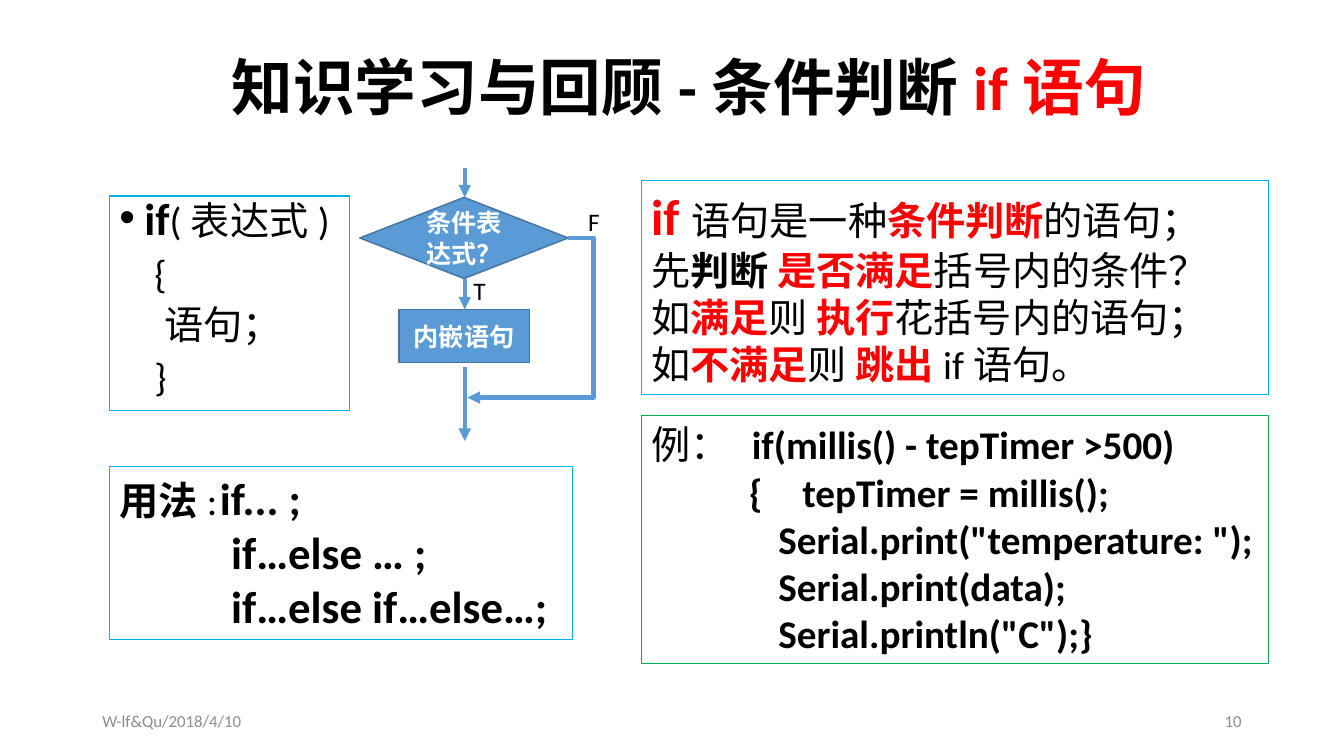
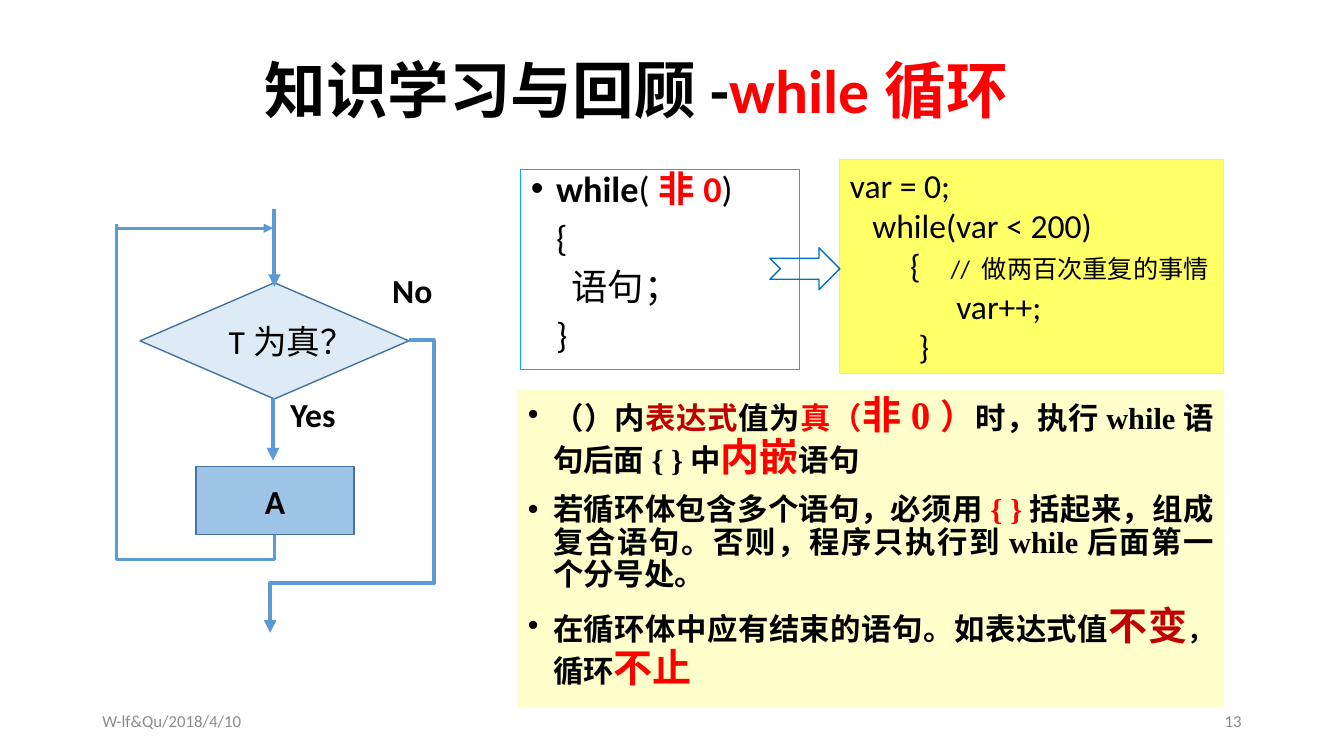
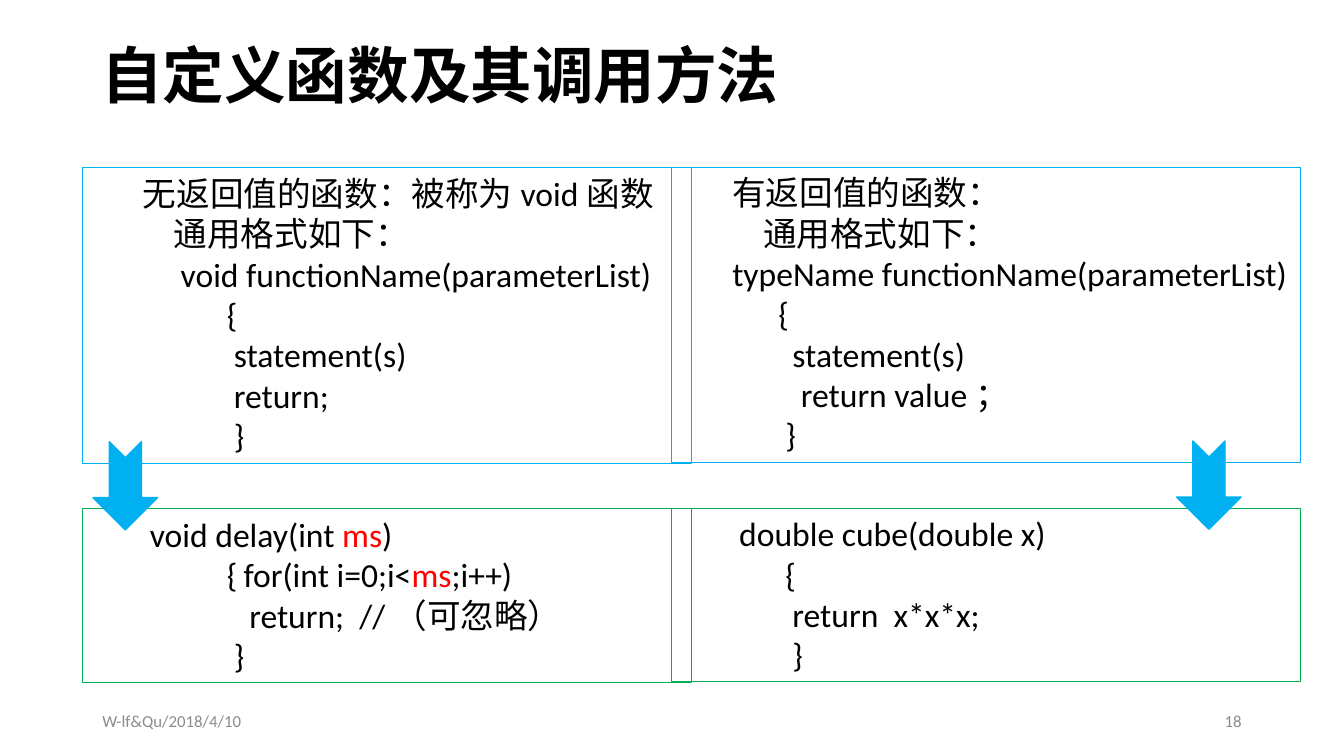
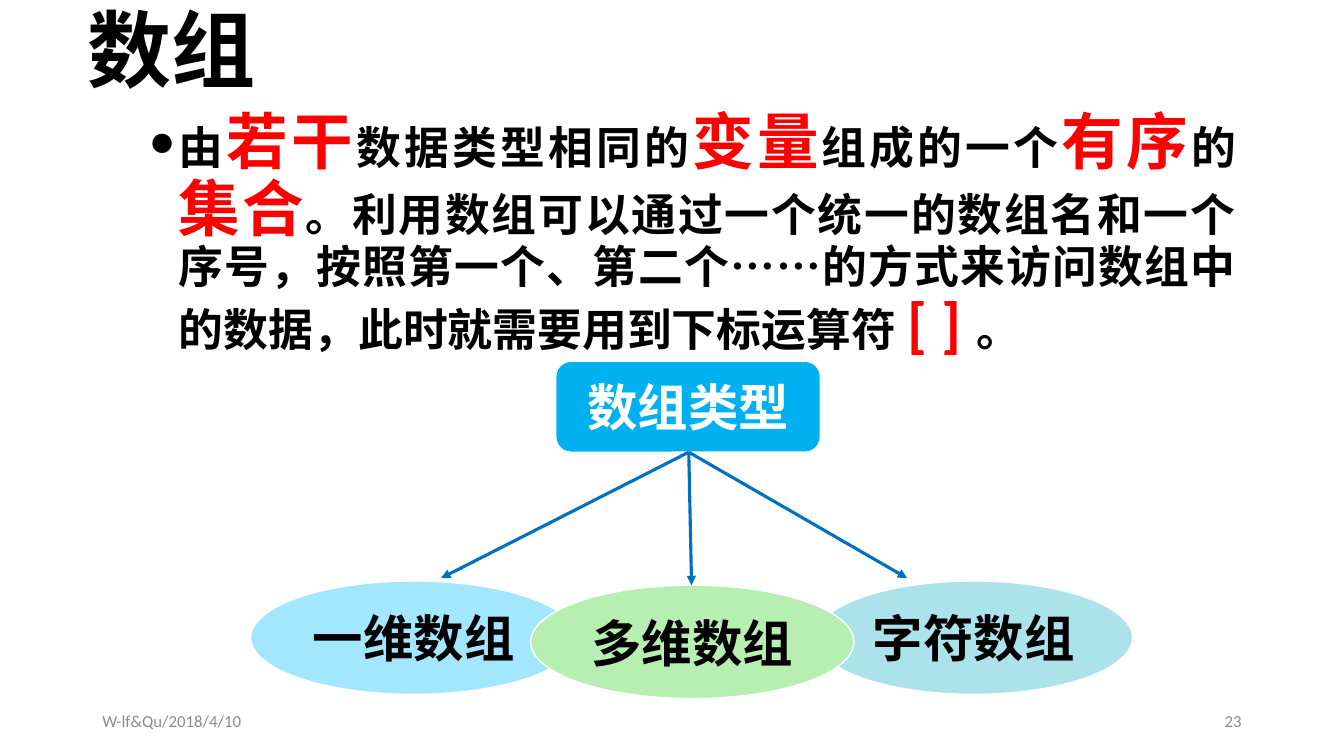
from dataclasses import dataclass
from typing import Optional

from lxml import etree
from pptx import Presentation
from pptx.dml.color import RGBColor
from pptx.enum.shapes import MSO_CONNECTOR as LINK, MSO_SHAPE as SHAPE
from pptx.enum.text import MSO_ANCHOR as ANCHOR, MSO_AUTO_SIZE as AUTO, PP_ALIGN as ALIGN
from pptx.oxml.ns import qn
from pptx.util import Pt

BLACK = RGBColor(0x00, 0x00, 0x00)
WHITE = RGBColor(0xFF, 0xFF, 0xFF)
RED = RGBColor(0xFF, 0x00, 0x00)
DARK_RED = RGBColor(0xC0, 0x00, 0x00)
GREY = RGBColor(0x8C, 0x8C, 0x8C)
SKY = RGBColor(0x00, 0xB0, 0xF0)
GREEN = RGBColor(0x00, 0xB0, 0x50)
BLUE = RGBColor(0x00, 0x70, 0xC0)
FLOW = RGBColor(0x5B, 0x9B, 0xD5)
FLOW_EDGE = RGBColor(0x43, 0x73, 0x9E)
FLOW_MID = RGBColor(0x9D, 0xC3, 0xE6)
FLOW_PALE = RGBColor(0xDE, 0xEB, 0xF7)
YELLOW = RGBColor(0xFF, 0xFF, 0x00)
LEMON = RGBColor(0xFF, 0xFF, 0x66)
CREAM = RGBColor(0xFF, 0xFF, 0xCC)
ICE = RGBColor(0xA3, 0xE7, 0xFF)
TEAL = RGBColor(0xAC, 0xE3, 0xEA)
MINT = RGBColor(0xB7, 0xEF, 0xB3)

FONT = "Calibri"
SERIF = "Times New Roman"
FOOTER = "W-lf&Qu/2018/4/10"
WITH_BODY, TITLE_ONLY = 1, 5


# ---- text ----

@dataclass
class Para:
    runs: tuple
    indent: float = 0
    tab: Optional[float] = None
    bullet: Optional[str] = None
    hang: float = 18


def para(*runs, **layout):
    return Para(runs, **layout)


def bold(text, **style):
    return text, {"bold": True, **style}


def red(text, **style):
    return bold(text, color=RED, **style)


def set_indent(paragraph, content):
    """Sets first-line indent or hanging bullet, and the tab stop."""
    props = paragraph._p.get_or_add_pPr()
    if content.bullet:
        props.set("marL", str(Pt(content.hang)))
        props.set("indent", str(-Pt(content.hang)))
        etree.SubElement(props, qn("a:buFont")).set("typeface", "Arial")
        etree.SubElement(props, qn("a:buChar")).set("char", content.bullet)
    else:
        props.set("marL", "0")
        props.set("indent", str(Pt(content.indent)))
        etree.SubElement(props, qn("a:buNone"))
    if content.tab:
        stop = etree.SubElement(etree.SubElement(props, qn("a:tabLst")), qn("a:tab"))
        stop.set("pos", str(Pt(content.tab)))
        stop.set("algn", "l")


def write(frame, paras, size, bold=False, color=BLACK, font=FONT, align=ALIGN.LEFT,
          anchor=ANCHOR.TOP, spacing=1.0, before=0, wrap=True):
    frame.auto_size = AUTO.NONE
    frame.word_wrap = wrap
    frame.vertical_anchor = anchor
    for number, content in enumerate(paras):
        paragraph = frame.add_paragraph() if number else frame.paragraphs[0]
        paragraph.alignment = align
        paragraph.line_spacing = spacing
        paragraph.space_before = Pt(before)
        set_indent(paragraph, content)
        for item in content.runs:
            text, style = (item, {}) if isinstance(item, str) else item
            run = paragraph.add_run()
            run.text = text
            run.font.name = font
            run.font.size = Pt(style.get("size", size))
            run.font.bold = style.get("bold", bold)
            run.font.color.rgb = style.get("color", color)


# ---- shapes ----

def points(box):
    return [Pt(length) for length in box]


def shift(origin, x, y, *size):
    return (origin[0] + x, origin[1] + y, *size)


def paint(shape, fill=None, line=None, width=0.75):
    if fill is None:
        shape.fill.background()
    else:
        shape.fill.solid()
        shape.fill.fore_color.rgb = fill
    if line is not None:
        shape.line.color.rgb = line
        shape.line.width = Pt(width)


def add_panel(slide, box, paras, size, fill=None, line=SKY, **style):
    panel = slide.shapes.add_shape(SHAPE.RECTANGLE, *points(box))
    panel.shadow.inherit = False
    paint(panel, fill, line)
    write(panel.text_frame, paras, size, **style)


def add_node(slide, kind, box, text=None, size=18, fill=None, line=FLOW_EDGE,
             rotation=0, **style):
    node = slide.shapes.add_shape(kind, *points(box))
    node.shadow.inherit = False
    node.rotation = rotation
    paint(node, fill, line, 1)
    if text:
        write(node.text_frame, [para(text)], size, align=ALIGN.CENTER,
              anchor=ANCHOR.MIDDLE, **style)


def add_label(slide, box, text, size, **style):
    label = slide.shapes.add_textbox(*points(box))
    write(label.text_frame, [para(text)], size, **style)


def add_line(slide, start, end, width=3, color=FLOW, arrow=True, kind=LINK.STRAIGHT):
    link = slide.shapes.add_connector(kind, *points(start + end))
    link.line.color.rgb = color
    link.line.width = Pt(width)
    props = link._element.spPr
    if arrow:
        etree.SubElement(props.find(qn("a:ln")), qn("a:tailEnd")).set("type", "triangle")
    etree.SubElement(props, qn("a:effectLst"))
    return link


def add_elbow(slide, start, end, bends, turned=False, **style):
    """Bent connector; bends are shares of its size, turned starts it vertically."""
    if turned:
        mid_x, mid_y = (start[0] + end[0]) / 2, (start[1] + end[1]) / 2
        start, end = [(mid_x + y - mid_y, mid_y - x + mid_x) for x, y in (start, end)]
    link = add_line(slide, start, end, kind=LINK.ELBOW, **style)
    props = link._element.spPr
    if turned:
        props.find(qn("a:xfrm")).set("rot", "5400000")
    geometry = props.find(qn("a:prstGeom"))
    geometry.set("prst", f"bentConnector{len(bends) + 2}")
    guides = geometry.find(qn("a:avLst"))
    if guides is None:
        guides = etree.SubElement(geometry, qn("a:avLst"))
    for number, bend in enumerate(bends, 1):
        guide = etree.SubElement(guides, qn("a:gd"))
        guide.set("name", f"adj{number}")
        guide.set("fmla", f"val {round(bend * 100000)}")


# ---- shared slide parts ----

def move(placeholder, box):
    placeholder.left, placeholder.top, placeholder.width, placeholder.height = points(box)


def start_slide(deck, layout, number, title_box, title, size=44, align=ALIGN.CENTER):
    """Adds a slide with its title and footer."""
    slide = deck.slides.add_slide(deck.slide_layouts[layout])
    move(slide.shapes.title, title_box)
    write(slide.shapes.title.text_frame, [para(*title)], size, bold=True, align=align,
          anchor=ANCHOR.MIDDLE, spacing=0.9)
    for left, text, side in ((66, FOOTER, ALIGN.LEFT), (678, str(number), ALIGN.RIGHT)):
        add_label(slide, (left, 500, 216, 29), text, 12, color=GREY, align=side,
                  anchor=ANCHOR.MIDDLE)
    return slide


def fill_body(slide, box, paras, size, line=None, **style):
    body = slide.placeholders[1]
    move(body, box)
    paint(body, line=line)
    write(body.text_frame, paras, size, **style)


# ---- slides ----

def draw_if_flow(slide, origin):
    def at(*place):
        return shift(origin, *place)

    add_line(slide, at(75, 0), at(75, 21))
    add_node(slide, SHAPE.FLOWCHART_DECISION, at(0, 21, 149, 58), "条件表达式？",
             fill=FLOW, color=WHITE, bold=True)
    add_node(slide, SHAPE.FLOWCHART_PROCESS, at(28, 101, 93, 38), "内嵌语句",
             fill=FLOW, color=WHITE, bold=True)
    add_line(slide, at(75, 79), at(75, 101))
    add_line(slide, at(75, 142), at(75, 195))
    add_elbow(slide, at(149, 50), at(77, 164), (-0.25, 1))
    add_label(slide, at(156, 24, 21, 29), "F", 18, wrap=False)
    add_label(slide, at(74, 73, 22, 29), "T", 18, wrap=False)


def build_if_slide(deck):
    slide = start_slide(deck, WITH_BODY, 10, (78, 25, 828, 80),
                        ["知识学习与回顾-条件判断", red("if语句")])
    fill_body(slide, (78, 140, 172, 153), [
        para(bold("if", size=32), "(表达式)", bullet="•"),
        para("{", indent=25),
        para("语句；", indent=32),
        para("}", indent=25),
    ], 28, line=SKY, spacing=0.8, before=10)
    add_panel(slide, (458, 129, 448, 153), [
        para(red("if", size=36), "语句是一种", red("条件判断"), "的语句；"),
        para("先", bold("判断 "), red("是否满足"), "括号内的条件？"),
        para("如", red("满足"), "则 ", red("执行"), "花括号内的语句；"),
        para("如", red("不满足"), "则 ", red("跳出"), "if语句。"),
    ], 28)
    add_panel(slide, (78, 333, 331, 124), [
        para(bold("用法", size=28), (":\t", {"size": 28}), bold("if... ;"), tab=83),
        para(bold("if…else … ;"), indent=80),
        para(bold("if…else if…else…;"), indent=80),
    ], 32)
    serial_lines = ('Serial.print("temperature: ");', "Serial.print(data);",
                    'Serial.println("C");}')
    add_panel(slide, (458, 297, 448, 177), [
        para("例：\t", bold("if(millis() - tepTimer >500)"), tab=63),
        para(bold("{\ttepTimer = millis();"), indent=70, tab=92),
        *[para(bold(line), indent=91) for line in serial_lines],
    ], 28, line=GREEN)
    draw_if_flow(slide, (257, 120))


def draw_while_flow(slide, origin):
    def at(*place):
        return shift(origin, *place)

    add_node(slide, SHAPE.RECTANGLE, at(57, 184, 113, 49), "A", 24, fill=FLOW_MID, bold=True)
    add_node(slide, SHAPE.DIAMOND, at(17, 53, 192, 83), "T为真？", 24, fill=FLOW_PALE)
    add_elbow(slide, at(209, 94), at(110, 303), (-0.18, 0.83))
    add_line(slide, at(113, 0), at(113, 56))
    add_line(slide, at(112, 135), at(112, 180))
    add_line(slide, at(1, 14), at(112, 14), width=2.25)
    add_elbow(slide, at(113, 233), at(0, 11), (-0.08,), turned=True, width=2.25, arrow=False)
    for text, box in (("No", at(184, 40, 55, 45)), ("Yes", at(111, 129, 59, 45))):
        add_label(slide, box, text, 24, bold=True, align=ALIGN.CENTER, wrap=False)


def build_while_slide(deck):
    slide = start_slide(deck, WITH_BODY, 13, (160, 28, 589, 77),
                        ["知识学习与回顾-", red("while循环")])
    fill_body(slide, (372, 121, 199, 143), [
        para(bold("while"), "(", red("非0"), ")", bullet="•"),
        para("{", indent=18),
        para("语句；", indent=29),
        para("}", indent=18),
    ], 25.9, line=SKY, spacing=0.8, before=10)
    big = 27.9
    add_panel(slide, (370, 279, 504, 226), [
        para("（）内", bold("表达式", color=DARK_RED), "值为", red("真（"), red("非0", size=big),
             red("）", size=24.8), "时，执行while语句后面{ }中", red("内嵌", size=big), "语句",
             bullet="•"),
        para("若循环体包含多个语句，必须用", red("{ }"),
             "括起来，组成复合语句。否则，程序只执行到while后面第一个分号处。", bullet="•"),
        para("在循环体中应有结束的语句。如表达式值", bold("不变", size=big, color=DARK_RED),
             bold("，", size=18.6), "循环", red("不止", size=big), bullet="•"),
    ], 21.7, fill=CREAM, line=CREAM, bold=True, font=SERIF, align=ALIGN.JUSTIFY,
        spacing=0.9, before=10)
    draw_while_flow(slide, (83, 149))
    add_panel(slide, (600, 114, 274, 153), [
        para("var = 0;"),
        para("while(var < 200)", indent=16),
        para("{\t", ("// 做两百次重复的事情", {"size": 18}), indent=43, tab=73),
        para("var++;", indent=76),
        para("}", indent=49),
    ], 24, fill=LEMON, line=YELLOW)
    add_node(slide, SHAPE.NOTCHED_RIGHT_ARROW, (550, 177, 50, 30), line=BLUE)


def add_function_column(slide, left, top, width, arrow_left, syntax, example):
    """General form above, its example below, and an arrow between them."""
    add_panel(slide, (left, top, width, 211), syntax, 24)
    add_panel(slide, (left, top + 243.5, width, 124), example, 24, line=GREEN)
    return arrow_left, top + 204, 63, 46


def build_function_slide(deck):
    slide = start_slide(deck, TITLE_ONLY, 18, (65, 26, 518, 60),
                        ["自定义函数及其调用方法"], align=ALIGN.LEFT)
    void_arrow = add_function_column(slide, 59, 120, 435, 58, [
        para("无返回值的函数：被称为void函数", indent=36),
        para("通用格式如下：", indent=58),
        para("void functionName(parameterList)", indent=63),
        para("{", indent=96),
        para("statement(s)", indent=101),
        para("return;", indent=101),
        para("}", indent=101),
    ], [
        para("void delay(int ", ("ms", {"color": RED}), ")", indent=41),
        para("{\tfor(int i=0;i<", ("ms", {"color": RED}), ";i++)", indent=96, tab=114),
        para("return;  //（可忽略）", indent=112),
        para("}", indent=101),
    ])
    value_arrow = add_function_column(slide, 480, 119.5, 449, 832, [
        para("有返回值的函数：", indent=36),
        para("通用格式如下：", indent=58),
        para("typeName functionName(parameterList)", indent=36),
        para("{", indent=69),
        para("statement(s)", indent=79),
        para("return value；", indent=85),
        para("}", indent=74),
    ], [
        para("double cube(double x)", indent=41),
        para("{", indent=74),
        para("return  x*x*x;", indent=79),
        para("}", indent=79),
    ])
    for box in (void_arrow, value_arrow):
        add_node(slide, SHAPE.NOTCHED_RIGHT_ARROW, box, fill=SKY, line=SKY, rotation=90)


def draw_array_tree(slide, origin):
    def at(*place):
        return shift(origin, *place)

    add_node(slide, SHAPE.ROUNDED_RECTANGLE, at(218, 0, 189, 65), "数组类型", 36,
             fill=SKY, line=WHITE, color=WHITE, bold=True)
    kinds = (("一维数组", (0, 157, 233, 81), ICE, (136, 155)),
             ("字符数组", (403, 157, 227, 81), TEAL, (469, 155)),
             ("多维数组", (200, 160, 231, 81), MINT, (315, 160)))
    for text, box, fill, tip in kinds:
        add_node(slide, SHAPE.OVAL, at(*box), text, 36, fill=fill, line=WHITE, bold=True)
        add_line(slide, at(313, 65), at(*tip), width=2.25, color=BLUE)


def build_array_slide(deck):
    slide = start_slide(deck, WITH_BODY, 23, (45, 0, 155, 77), ["数组"], size=60)
    fill_body(slide, (99, 76, 791, 196), [
        para("由", red("若干", size=44), "数据类型相同的", red("变量", size=44), "组成的一个",
             red("有序", size=44), "的", red("集合", size=44),
             "。利用数组可以通过一个统一的数组名和一个序号，按照第一个、第二个……的方式来"
             "访问数组中的数据，此时就需要用到下标运算符",
             red("[ ]", size=44), "。", bullet="●", hang=21.6),
    ], 32, bold=True, align=ALIGN.JUSTIFY, spacing=0.9, before=5.8)
    draw_array_tree(slide, (179, 258))


def main():
    deck = Presentation()
    deck.slide_width, deck.slide_height = Pt(960), Pt(540)
    build_if_slide(deck)
    build_while_slide(deck)
    build_function_slide(deck)
    build_array_slide(deck)
    deck.save("out.pptx")


if __name__ == "__main__":
    main()
